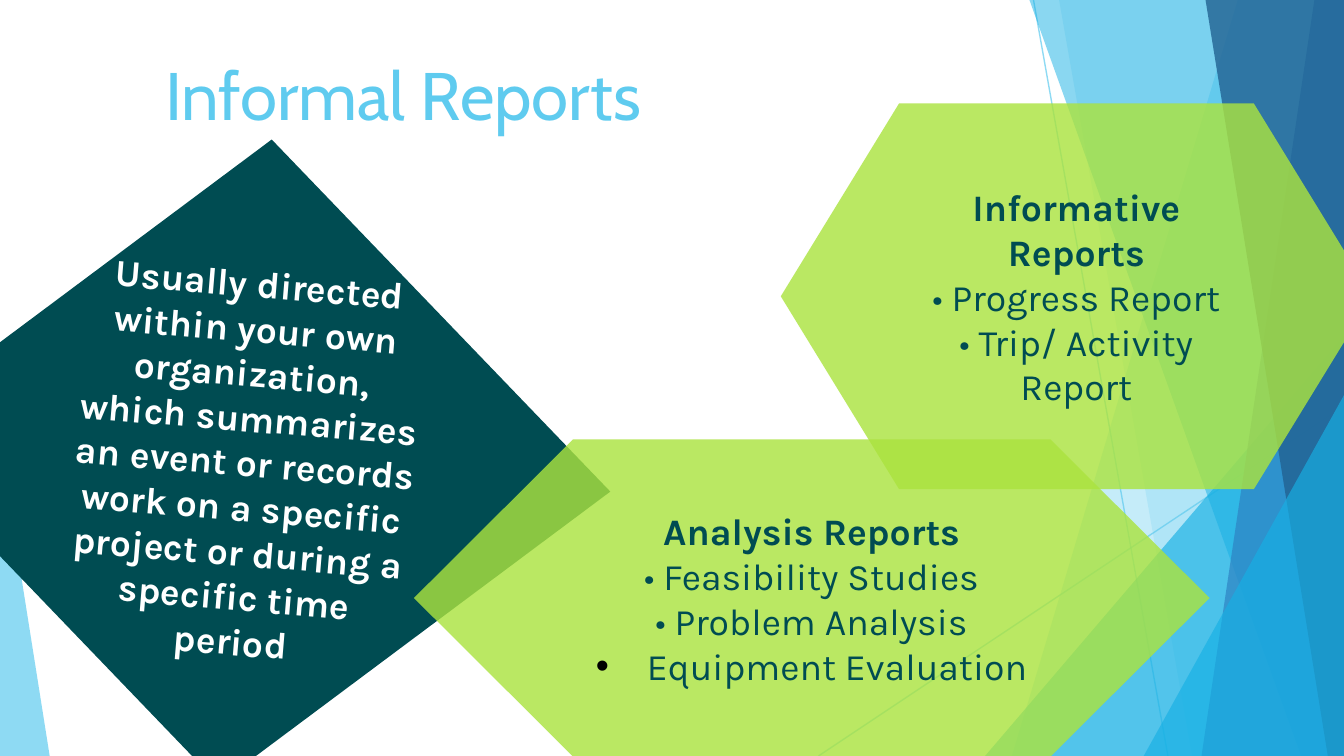
from lxml import etree
from pptx import Presentation
from pptx.dml.color import RGBColor
from pptx.enum.shapes import MSO_CONNECTOR, MSO_SHAPE
from pptx.enum.text import MSO_ANCHOR, PP_ALIGN
from pptx.oxml.ns import qn
from pptx.util import Inches, Pt

STRAIGHT = MSO_CONNECTOR.STRAIGHT
TRIANGLE, DIAMOND = MSO_SHAPE.ISOSCELES_TRIANGLE, MSO_SHAPE.DIAMOND
HEXAGON = MSO_SHAPE.FLOWCHART_PREPARATION
TOP, MIDDLE = MSO_ANCHOR.TOP, MSO_ANCHOR.MIDDLE
LEFT, CENTER = PP_ALIGN.LEFT, PP_ALIGN.CENTER

WIDTH = 10
HEIGHT = WIDTH * 9 / 16
SKY, AZURE, BLUE, NAVY = "5FCBEF", "17B0E4", "2E83C3", "226292"
TEAL, LIME, WHITE, BLACK = "004C52", "ABE33F", "FFFFFF", "000000"

# Content
TITLE = "Informal Reports"
DEFINITION = ("Usually directed within your own organization, which summarizes "
              "an event or records work on a specific project or during a "
              "specific time period")
# Report panels: place, heading, centred items, items with a hanging bullet
PANELS = [
    ((5.81, 0.77, 4.4, 2.87), "Informative Reports",
     ["•\u00a0Progress Report", "•\u00a0Trip/ Activity Report"], []),
    ((3.08, 3.27, 5.92, 2.36), "Analysis Reports",
     ["•\u00a0Feasibility Studies", "•\u00a0Problem Analysis"],
     ["Equipment Evaluation"]),
]

# Backdrop: thin lines, then facets from back to front
RAYS = [(7.69, 0, 8.69, HEIGHT), (WIDTH, 3.02, 6.09, HEIGHT)]
# A band reaches the right edge: (top x, bottom x)
# A wedge stands on the bottom edge: (left, top, width, apex share)
FACETS = [
    ("band", (9.21, 7.53), SKY, 36),
    ("band", (7.88, 8.87), SKY, 20),
    ("wedge", (7.33, 2.5, 2.67, 1), AZURE, 66),
    ("band", (7.66, 9.68), AZURE, 50),
    ("band", (9.78, 8.94), BLUE, 70),
    ("band", (8.97, 9.88), NAVY, 80),
    ("wedge", (8.51, 2.94, 1.49, 1), AZURE, 66),
    ("wedge", (0, 3.29, 0.37, 0), SKY, 70),
]


def color(value):
    return RGBColor.from_string(value)


def set_alpha(fill_parent, percent):
    tint = next(fill_parent.iter(qn("a:srgbClr")))
    etree.SubElement(tint, qn("a:alpha"), val=str(percent * 1000))


def paint(shape, fill, alpha=100):
    shape.shadow.inherit = False
    shape.fill.solid()
    shape.fill.fore_color.rgb = color(fill)
    shape.line.fill.background()
    if alpha < 100:
        set_alpha(shape._element.spPr, alpha)


def add_shape(page, kind, place, fill, alpha=100):
    shape = page.shapes.add_shape(kind, *map(Inches, place))
    paint(shape, fill, alpha)
    return shape


def add_band(page, top_x, bottom_x, fill, alpha):
    corners = [(WIDTH, 0), (WIDTH, HEIGHT), (bottom_x, HEIGHT)]
    builder = page.shapes.build_freeform(Inches(top_x), 0)
    builder.add_line_segments([(Inches(x), Inches(y)) for x, y in corners])
    paint(builder.convert_to_shape(), fill, alpha)


def add_wedge(page, left, top, width, apex, fill, alpha):
    place = (left, top, width, HEIGHT - top)
    add_shape(page, TRIANGLE, place, fill, alpha).adjustments[0] = apex


def add_ray(page, *ends):
    ray = page.shapes.add_connector(STRAIGHT, *map(Inches, ends))
    ray.line.color.rgb = color(SKY)
    ray.line.width = Pt(0.75)
    set_alpha(ray._element.spPr, 70)
    etree.SubElement(ray._element.spPr, qn("a:effectLst"))


def hang_bullet(para):
    properties = para._p.get_or_add_pPr()
    properties.set("marL", str(Inches(0.38)))
    properties.set("indent", str(-Inches(0.38)))
    tint = etree.SubElement(properties, qn("a:buClr"))
    etree.SubElement(tint, qn("a:srgbClr"), val=BLACK)
    etree.SubElement(properties, qn("a:buFont"), typeface="Arial")
    etree.SubElement(properties, qn("a:buChar"), char="•")


def write(shape, lines, anchor, align, tint, **font):
    """Fill a shape with (text, bold, hanging bullet) lines."""
    frame = shape.text_frame
    frame.word_wrap = True
    frame.vertical_anchor = anchor
    for side in ("left", "top", "right", "bottom"):
        setattr(frame, f"margin_{side}", Inches(0.1))
    for number, (text, bold, bulleted) in enumerate(lines):
        para = frame.add_paragraph() if number else frame.paragraphs[0]
        para.alignment = align
        if bulleted:
            hang_bullet(para)
        span = para.add_run()
        span.text = text
        for name, value in {**font, "bold": bold}.items():
            setattr(span.font, name, value)
        span.font.color.rgb = color(tint)


def main():
    deck = Presentation()
    deck.slide_width, deck.slide_height = Inches(WIDTH), Inches(HEIGHT)
    page = deck.slides.add_slide(deck.slide_layouts[6])

    # Backdrop
    for ray in RAYS:
        add_ray(page, *ray)
    for kind, measures, fill, alpha in FACETS:
        add_facet = add_band if kind == "band" else add_wedge
        add_facet(page, *measures, fill, alpha)

    # Title
    title = page.shapes.add_textbox(*map(Inches, (1.13, 0.3, 8.06, 0.94)))
    write(title, [(TITLE, False, False)], TOP, LEFT, SKY,
          name="Cabin", size=Pt(36))

    # Definition
    body = {"name": "Karla", "size": Pt(20)}
    diamond = add_shape(page, DIAMOND, (-0.9, 1.03, 5.45, 4.81), TEAL)
    diamond.rotation = 4.7
    write(diamond, [(DEFINITION, True, False)], MIDDLE, CENTER, WHITE, **body)

    # Report panels
    for place, heading, items, hanging in PANELS:
        lines = [(heading, True, False)]
        lines += [(item, False, False) for item in items]
        lines += [(item, False, True) for item in hanging]
        panel = add_shape(page, HEXAGON, place, LIME, 81)
        write(panel, lines, MIDDLE, CENTER, TEAL, **body)

    deck.save("out.pptx")


if __name__ == "__main__":
    main()
